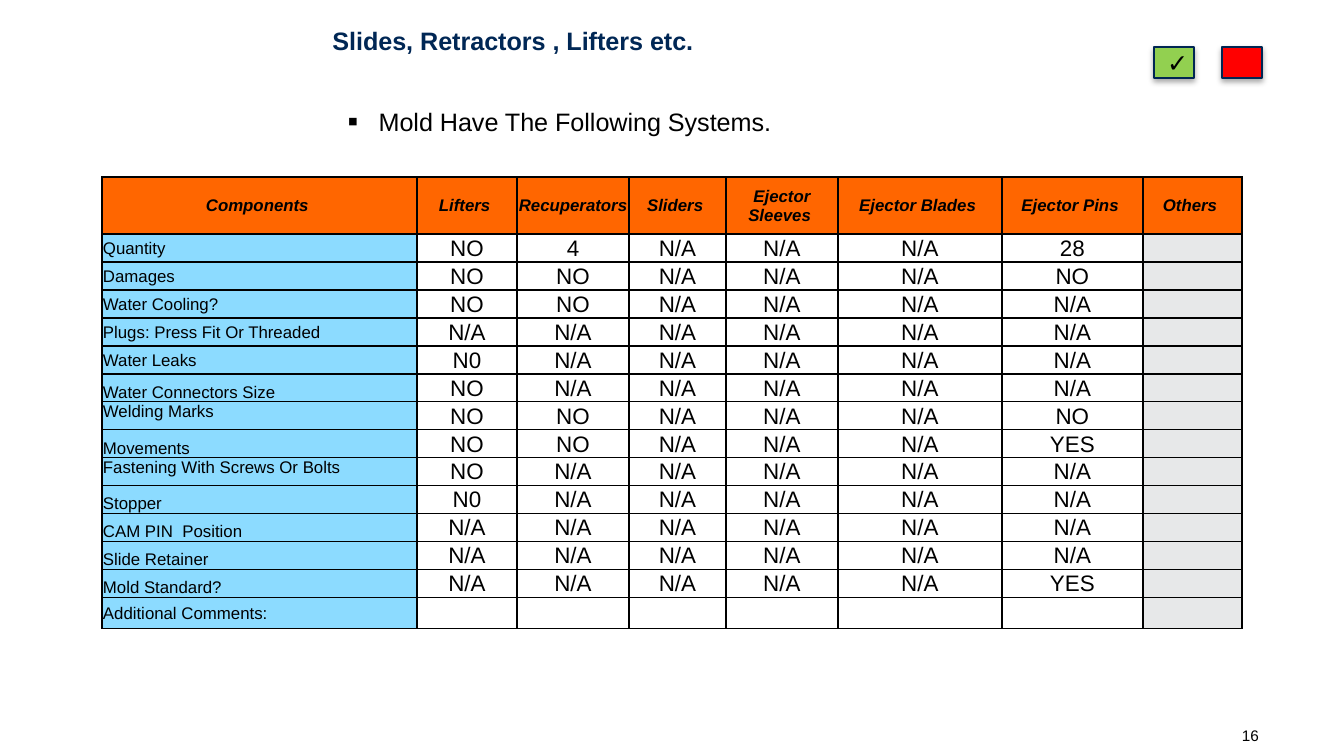
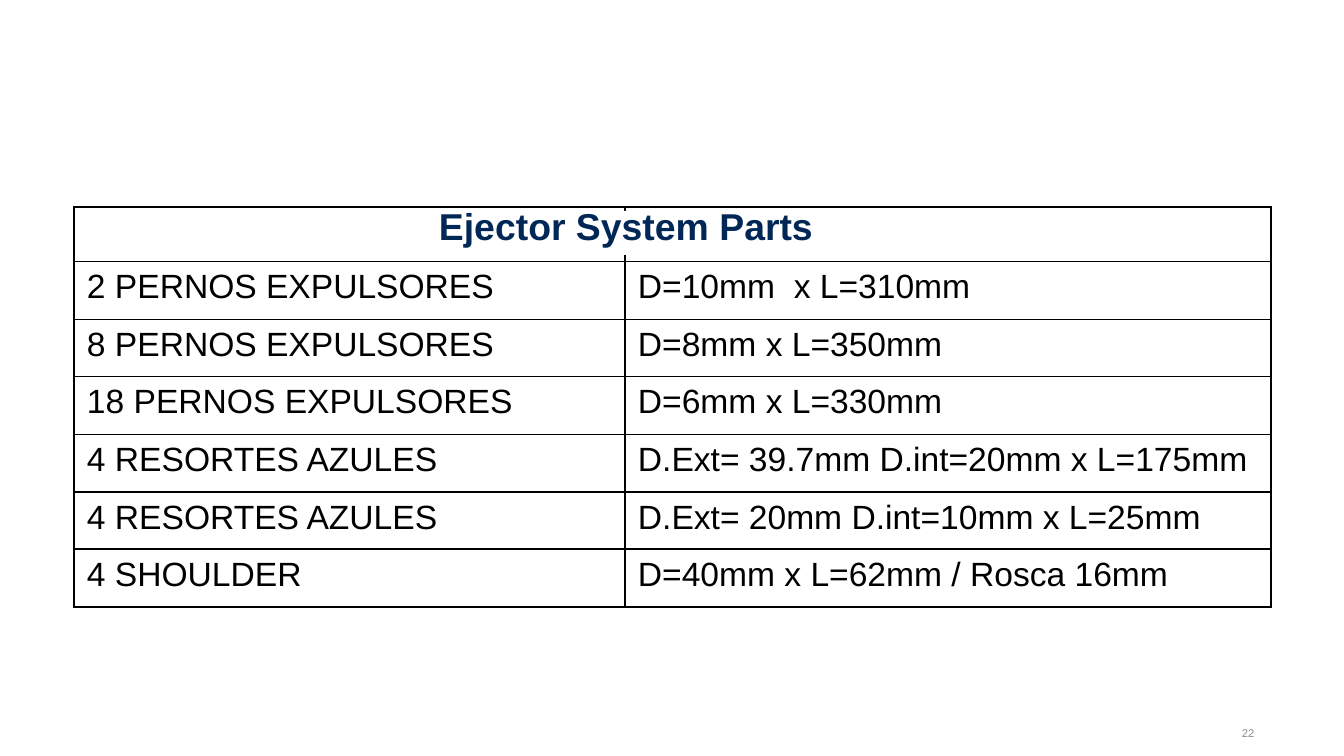
from dataclasses import dataclass
from typing import Optional

from lxml import etree
from pptx import Presentation
from pptx import util as u
from pptx.dml.color import RGBColor
from pptx.enum import shapes, text
from pptx.oxml.ns import qn

PX_PER_INCH = 134.4
FONT = "Arial"
COLORS = {
    "black": "000000", "white": "FFFFFF", "title": "002755", "outline": "002653",
    "header": "FF6600", "label": "8CDBFF", "unused": "E7E8E9",
    "ok": "92D050", "bad": "FF0000", "footer": "898C8A",
}
LEFT, CENTER = text.PP_ALIGN.LEFT, text.PP_ALIGN.CENTER
TOP, MIDDLE, BOTTOM = text.MSO_ANCHOR.TOP, text.MSO_ANCHOR.MIDDLE, text.MSO_ANCHOR.BOTTOM
NO_MARGINS = (0, 0, 0, 0)
DEFAULT_MARGINS = (13, 7, 13, 7)
TIGHT_MARGINS = (1, 1, 1, 0)


@dataclass(frozen=True)
class Box:
    left: int
    top: int
    width: int
    height: int

    def emu(self) -> list[int]:
        return [px(v) for v in (self.left, self.top, self.width, self.height)]


@dataclass(frozen=True)
class StatusBox:
    left: int
    fill: str
    mark: str


@dataclass(frozen=True)
class CheckRow:
    label: str
    answers: str
    anchor: text.MSO_ANCHOR = MIDDLE


def px(length: float) -> int:
    return round(length * u.Inches(1) / PX_PER_INCH)


def color(name: str) -> RGBColor:
    return RGBColor.from_string(COLORS[name])


def even_split(total: int, count: int) -> list[int]:
    """Whole-pixel parts of nearly equal size."""
    edges = [round(i * total / count) for i in range(count + 1)]
    return [b - a for a, b in zip(edges, edges[1:])]


# Text
def write(frame, content: str, *, size: float, ink: str = "black", bold: bool = False,
          italic: bool = False, align=LEFT, line_points: Optional[float] = None,
          bullet: Optional[str] = None) -> None:
    paragraph = frame.paragraphs[0]
    paragraph.alignment = align
    if line_points:
        paragraph.line_spacing = u.Pt(line_points)
    if bullet:
        properties = paragraph._p.get_or_add_pPr()
        properties.set("marL", str(px(31)))
        properties.set("indent", str(-px(31)))
        etree.SubElement(properties, qn("a:buSzPct"), val="120000")
        etree.SubElement(properties, qn("a:buFont"), typeface=FONT)
        etree.SubElement(properties, qn("a:buChar"), char=bullet)
    if not content:
        etree.SubElement(paragraph._p, qn("a:endParaRPr"), sz=str(round(size * 100)))
        return
    run = paragraph.add_run()
    run.text = content
    run.font.name = FONT
    run.font.size = u.Pt(size)
    run.font.bold = bold
    run.font.italic = italic
    run.font.color.rgb = color(ink)


def set_margins(target, margins: tuple[int, int, int, int]) -> None:
    (target.margin_left, target.margin_top,
     target.margin_right, target.margin_bottom) = map(px, margins)


def add_text(slide, box: Box, content: str, *, anchor=TOP, margins=NO_MARGINS, **style) -> None:
    frame = slide.shapes.add_textbox(*box.emu()).text_frame
    frame.word_wrap = True
    frame.vertical_anchor = anchor
    set_margins(frame, margins)
    write(frame, content, **style)


def add_page_number(slide, number: int, **style) -> None:
    add_text(slide, Box(1242, 726, 47, 22), str(number), **style)


# Shapes
def add_rectangle(slide, box: Box, fill: str, line: Optional[str] = None):
    shape = slide.shapes.add_shape(shapes.MSO_SHAPE.RECTANGLE, *box.emu())
    shape.shadow.inherit = False
    shape.fill.solid()
    shape.fill.fore_color.rgb = color(fill)
    if line:
        shape.line.color.rgb = color(line)
        shape.line.width = u.Pt(0.75)
    else:
        shape.line.fill.background()
    shape.text_frame.vertical_anchor = MIDDLE
    return shape


def add_drop_shadow(shape) -> None:
    effects = shape._element.spPr.find(qn("a:effectLst"))
    shadow = etree.SubElement(effects, qn("a:outerShdw"), blurRad=str(u.Pt(3.1)),
                              dist=str(u.Pt(1.8)), dir="5400000", rotWithShape="0")
    tint = etree.SubElement(shadow, qn("a:srgbClr"), val=COLORS["black"])
    etree.SubElement(tint, qn("a:alpha"), val="35000")


def add_status(slide, status: StatusBox) -> None:
    shape = add_rectangle(slide, Box(status.left, 47, 40, 31), status.fill, "outline")
    add_drop_shadow(shape)
    if status.mark:
        write(shape.text_frame, status.mark, size=13.5, align=CENTER)


# Tables
def add_grid(slide, left: int, top: int, widths: list[int], heights: list[int]):
    box = Box(left, top, sum(widths), sum(heights))
    table = slide.shapes.add_table(len(heights), len(widths), *box.emu()).table
    table.first_row = table.horz_banding = False
    for column, width in zip(table.columns, widths):
        column.width = px(width)
    for row, height in zip(table.rows, heights):
        row.height = px(height)
    return table


def fill_cell(cell, content: str, *, fill: Optional[str] = None, anchor=TOP,
              margins=DEFAULT_MARGINS, **style) -> None:
    cell.vertical_anchor = anchor
    set_margins(cell, margins)
    write(cell.text_frame, content, **style)
    properties = cell._tc.get_or_add_tcPr()
    for side in ("a:lnL", "a:lnR", "a:lnT", "a:lnB"):
        border = etree.SubElement(properties, qn(side), w=str(u.Pt(1)))
        solid = etree.SubElement(border, qn("a:solidFill"))
        etree.SubElement(solid, qn("a:srgbClr"), val=COLORS["black"])
    if fill:
        cell.fill.solid()
        cell.fill.fore_color.rgb = color(fill)
    else:
        cell.fill.background()


# Slide content
STATUSES = [StatusBox(1222, "bad", ""), StatusBox(1154, "ok", "✓")]

COMPONENTS = ["Components ", "Lifters ", "Recuperators ", "Sliders ", "Ejector Sleeves ",
              "Ejector Blades ", "Ejector Pins ", "Others "]
COMPONENT_WIDTHS = [315, 100, 112, 97, 112, 164, 141, 99]

CHECKS = [
    CheckRow("Quantity", "NO 4 N/A N/A N/A 28"),
    CheckRow("Damages", "NO NO N/A N/A N/A NO"),
    CheckRow("Water Cooling?", "NO NO N/A N/A N/A N/A"),
    CheckRow("Plugs: Press Fit Or Threaded", "N/A N/A N/A N/A N/A N/A"),
    CheckRow("Water Leaks", "N0 N/A N/A N/A N/A N/A"),
    CheckRow("Water Connectors Size", "NO N/A N/A N/A N/A N/A", BOTTOM),
    CheckRow("Welding Marks", "NO NO N/A N/A N/A NO", TOP),
    CheckRow("Movements", "NO NO N/A N/A N/A YES", BOTTOM),
    CheckRow("Fastening With Screws Or Bolts", "NO N/A N/A N/A N/A N/A", TOP),
    CheckRow("Stopper", "N0 N/A N/A N/A N/A N/A", BOTTOM),
    CheckRow("CAM PIN  Position", "N/A N/A N/A N/A N/A N/A", BOTTOM),
    CheckRow("Slide Retainer", "N/A N/A N/A N/A N/A N/A", BOTTOM),
    CheckRow("Mold Standard?", "N/A N/A N/A N/A N/A YES", BOTTOM),
    CheckRow("Additional Comments:", ""),
]

EJECTOR_PARTS = [
    ("", ""),
    ("2 PERNOS EXPULSORES", "D=10mm  x L=310mm"),
    ("8 PERNOS EXPULSORES", "D=8mm x L=350mm"),
    ("18 PERNOS EXPULSORES", "D=6mm x L=330mm"),
    ("4 RESORTES AZULES", "D.Ext= 39.7mm D.int=20mm x L=175mm"),
    ("4 RESORTES AZULES", "D.Ext= 20mm D.int=10mm x L=25mm"),
    ("4 SHOULDER", "D=40mm x L=62mm / Rosca 16mm"),
]

TITLE_STYLE = {"ink": "title", "bold": True, "line_points": 16.5}


def build_checklist(slide) -> None:
    add_text(slide, Box(79, 23, 890, 35), "Slides, Retractors , Lifters etc.", size=13.5,
             anchor=MIDDLE, align=CENTER, margins=(0, 0, 22, 0), **TITLE_STYLE)
    add_page_number(slide, 16, size=8.2)
    add_text(slide, Box(241, 106, 637, 87), "Mold Have The Following Systems.",
             size=13.5, align=CENTER, bullet="▪")

    heights = [57, *even_split(360, len(CHECKS) - 1), 31]
    table = add_grid(slide, 102, 177, COMPONENT_WIDTHS, heights)
    last = len(COMPONENTS) - 1
    for column, name in enumerate(COMPONENTS):
        fill_cell(table.cell(0, column), name, fill="header", anchor=MIDDLE, size=9,
                  margins=TIGHT_MARGINS, bold=True, italic=True, align=CENTER)
    for row, check in enumerate(CHECKS, start=1):
        fill_cell(table.cell(row, 0), check.label, fill="label", anchor=check.anchor,
                  margins=TIGHT_MARGINS, size=9)
        answers = check.answers.split() or [""] * (last - 1)
        for column, answer in enumerate([*answers, ""], start=1):
            fill_cell(table.cell(row, column), answer, anchor=MIDDLE, size=12, align=CENTER,
                      margins=TIGHT_MARGINS, fill="unused" if column == last else None)

    for status in STATUSES:
        add_status(slide, status)


def build_ejector_parts(slide) -> None:
    add_page_number(slide, 22, size=6, ink="footer")
    heights = [54, *even_split(346, len(EJECTOR_PARTS) - 1)]
    table = add_grid(slide, 74, 207, [551, 646], heights)
    for row, part in enumerate(EJECTOR_PARTS):
        for column, content in enumerate(part):
            fill_cell(table.cell(row, column), content, size=18)

    title = add_rectangle(slide, Box(439, 211, 381, 44), "white")
    set_margins(title.text_frame, NO_MARGINS)
    write(title.text_frame, "Ejector System Parts", size=20, **TITLE_STYLE)


def main() -> None:
    presentation = Presentation()
    presentation.slide_width, presentation.slide_height = px(1344), px(756)
    for build in (build_checklist, build_ejector_parts):
        build(presentation.slides.add_slide(presentation.slide_layouts[6]))
    presentation.save("out.pptx")


if __name__ == "__main__":
    main()
